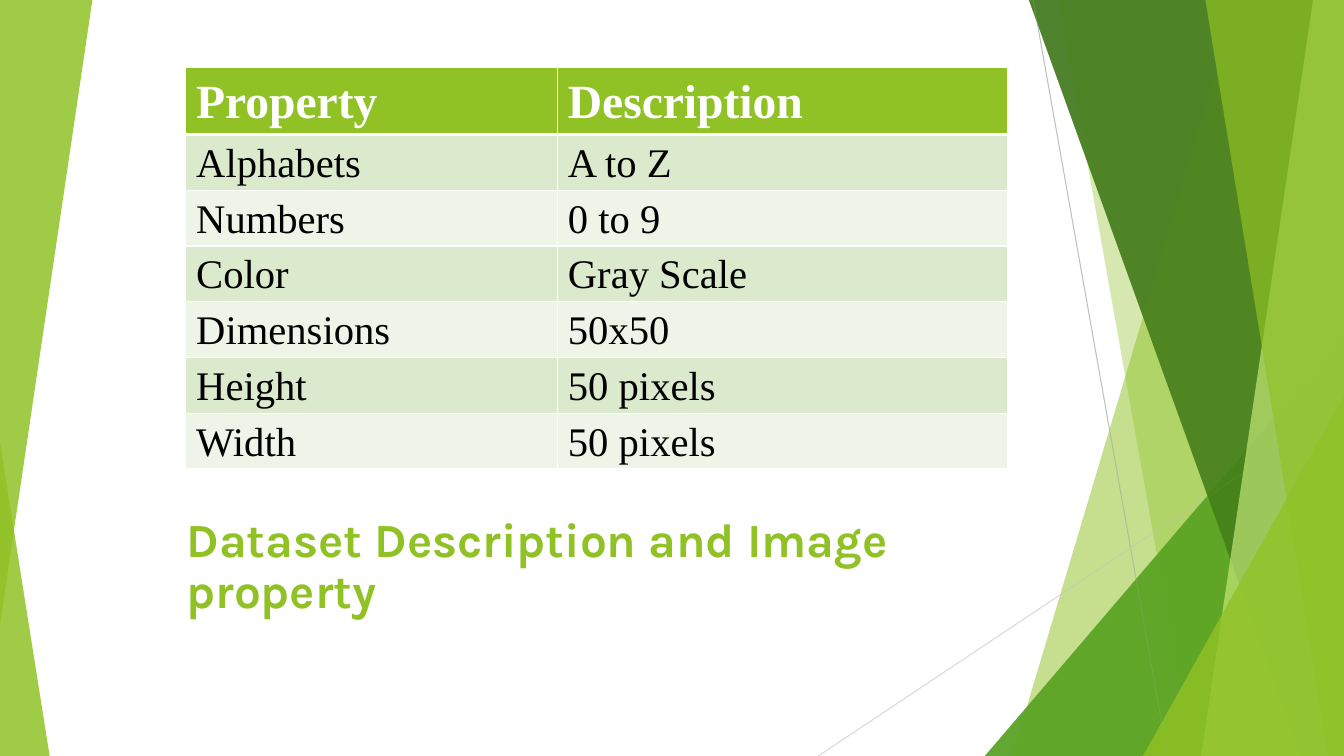
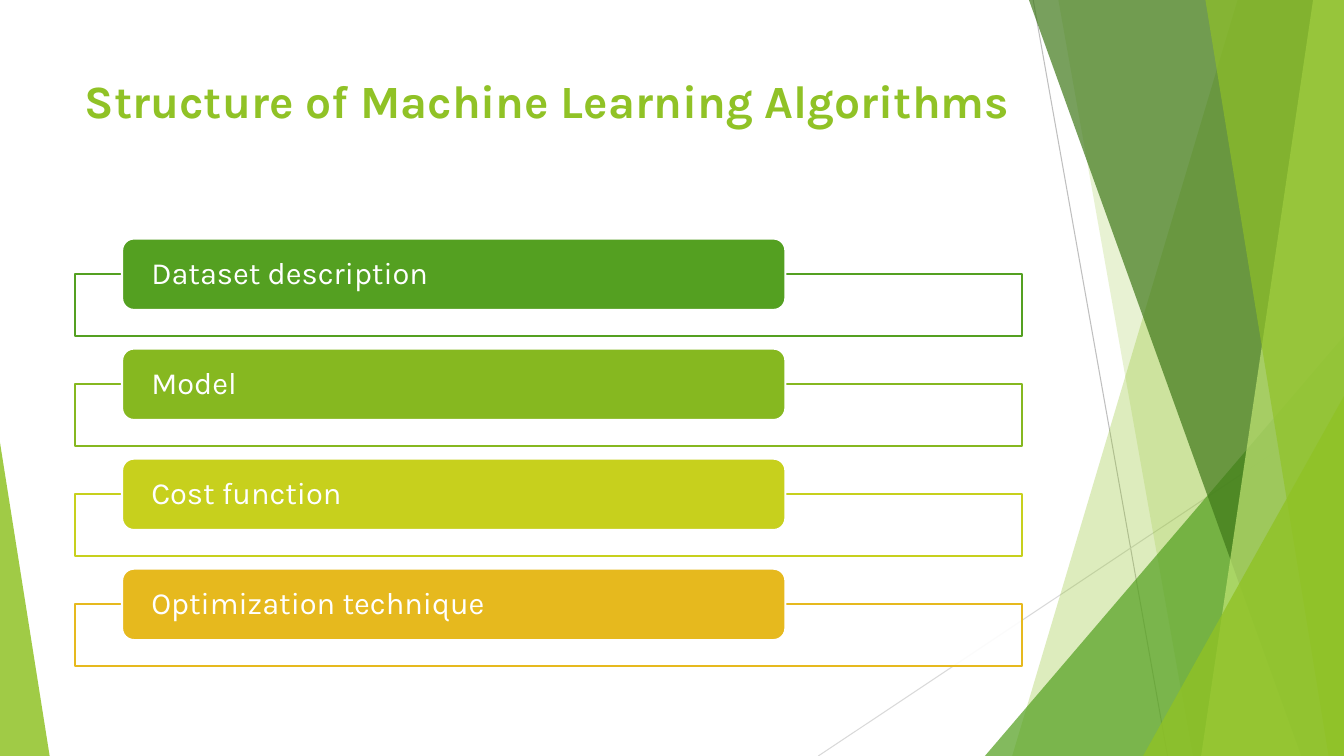
import lxml.etree
import pptx
import pptx.dml.color
import pptx.enum.shapes
import pptx.enum.text
import pptx.oxml.ns
import pptx.util

Pt = pptx.util.Pt
RGB = pptx.dml.color.RGBColor
SHAPE = pptx.enum.shapes.MSO_SHAPE
ALIGN = pptx.enum.text.PP_ALIGN
ANCHOR = pptx.enum.text.MSO_ANCHOR
qn = pptx.oxml.ns.qn

# Colours, fonts and slide size
LIME = RGB(0x90, 0xC2, 0x26)
GREEN = RGB(0x54, 0xA0, 0x21)
FOREST = RGB(0x3F, 0x78, 0x19)
PALE_LIME = RGB(0xC0, 0xE4, 0x74)
MOSS = RGB(0x86, 0xB8, 0x20)
CITRON = RGB(0xC7, 0xD0, 0x1D)
GOLD = RGB(0xE6, 0xB9, 0x1E)
ROW_DARK = RGB(0xDB, 0xE9, 0xCD)
ROW_LIGHT = RGB(0xEE, 0xF4, 0xE8)
GRAY = RGB(0xBF, 0xBF, 0xBF)
LIGHT_GRAY = RGB(0xD9, 0xD9, 0xD9)
WHITE = RGB(0xFF, 0xFF, 0xFF)
BLACK = RGB(0, 0, 0)
HEADING_FONT, TABLE_FONT = "Karla", "Times New Roman"
WIDTH, HEIGHT = 960, 540

# Content
DATASET_TITLE = "Dataset Description and Image property"
PROPERTIES = [
    ("Property", "Description"),
    ("Alphabets", "A to Z"),
    ("Numbers", "0 to 9"),
    ("Color", "Gray Scale"),
    ("Dimensions", "50x50"),
    ("Height", "50 pixels"),
    ("Width", "50 pixels"),
]
STRUCTURE_TITLE = "Structure of Machine Learning Algorithms"
STEPS = [
    ("Dataset description", GREEN),
    ("Model", MOSS),
    ("Cost function", CITRON),
    ("Optimization technique", GOLD),
]

# Facets: bands run from a top x and a bottom x to the right edge;
# triangles give left, top, width, height, apex position and rotation
RIGHT_FACETS = [
    ("band", (884, 723), LIME, 30),
    ("band", (756, 852), LIME, 20),
    ("triangle", (703.5, 240, 256.5, 300, 1, 0), GREEN, 72),
    ("band", (735, 929.5), FOREST, 70),
    ("band", (938, 858), PALE_LIME, 70),
    ("band", (861, 949), LIME, 65),
    ("triangle", (816.5, 283, 143.5, 257, 1, 0), LIME, 80),
]
LOWER_LEFT_FACET = ("triangle", (0, 316, 35.5, 224, 0, 0), LIME, 85)
UPPER_LEFT_FACET = ("triangle", (0, 0, 66, 446, 1, 180), LIME, 85)
FACET_LINES = [((738, 0, 834, 540), GRAY), ((960, 290, 584.5, 540), LIGHT_GRAY)]


def set_attributes(target, values):
    for name, value in values.items():
        setattr(target, name, value)


def paint(shape, color, opacity=100, line_color=None):
    shape.shadow.inherit = False
    shape.fill.solid()
    shape.fill.fore_color.rgb = color
    if opacity < 100:
        color_element = shape._element.spPr.find(".//" + qn("a:srgbClr"))
        lxml.etree.SubElement(color_element, qn("a:alpha"), val=str(opacity * 1000))
    if line_color is None:
        shape.line.fill.background()
    else:
        shape.line.color.rgb = line_color
        shape.line.width = Pt(1.5)


def write(frame, text, font_name, size, color, bold=False, **paragraph_format):
    frame.text = text
    paragraph = frame.paragraphs[0]
    set_attributes(paragraph, paragraph_format)
    font = paragraph.runs[0].font
    set_attributes(font, {"name": font_name, "size": Pt(size), "bold": bold})
    font.color.rgb = color


def add_facet(slide, facet):
    kind, geometry, color, opacity = facet
    if kind == "band":
        top_x, bottom_x = geometry
        builder = slide.shapes.build_freeform(Pt(top_x), 0)
        corners = [(WIDTH, 0), (WIDTH, HEIGHT), (bottom_x, HEIGHT)]
        builder.add_line_segments([(Pt(x), Pt(y)) for x, y in corners], close=True)
        shape = builder.convert_to_shape()
    else:
        *box, apex, rotation = geometry
        shape = slide.shapes.add_shape(SHAPE.ISOSCELES_TRIANGLE, *map(Pt, box))
        shape.adjustments[0] = apex
        shape.rotation = rotation
    paint(shape, color, opacity)


def add_facet_lines(slide):
    for ends, color in FACET_LINES:
        line = slide.shapes.add_connector(
            pptx.enum.shapes.MSO_CONNECTOR.STRAIGHT, *map(Pt, ends))
        line.line.color.rgb = color
        line.line.width = Pt(0.75)
        lxml.etree.SubElement(line._element.spPr, qn("a:effectLst"))


def add_title(slide, text, box, size, anchor, line_spacing):
    title = slide.shapes.title
    set_attributes(title, dict(zip(("left", "top", "width", "height"), map(Pt, box))))
    set_attributes(title.text_frame, {
        "word_wrap": True,
        "auto_size": pptx.enum.text.MSO_AUTO_SIZE.NONE,
        "vertical_anchor": anchor,
    })
    write(title.text_frame, text, HEADING_FONT, size, LIME, True,
          alignment=ALIGN.LEFT, line_spacing=line_spacing)


def add_cell_borders(cell, is_header):
    properties = cell._tc.get_or_add_tcPr()
    for side in "LRTB":
        width = 3 if is_header and side == "B" else 1
        border = lxml.etree.SubElement(properties, qn("a:ln" + side), w=str(Pt(width)))
        fill = lxml.etree.SubElement(border, qn("a:solidFill"))
        lxml.etree.SubElement(fill, qn("a:srgbClr"), val=str(WHITE))


def add_property_table(slide):
    row_heights = [47.6] + [39.8] * (len(PROPERTIES) - 1)
    column_widths = [265.5, 321.5]
    table = slide.shapes.add_table(
        len(row_heights), len(column_widths), Pt(132.5), Pt(48.5),
        Pt(sum(column_widths)), Pt(sum(row_heights))).table
    for column, width in zip(table.columns, column_widths):
        column.width = Pt(width)
    for index, (row, texts) in enumerate(zip(table.rows, PROPERTIES)):
        row.height = Pt(row_heights[index])
        is_header = index == 0
        row_fill = LIME if is_header else ROW_DARK if index % 2 else ROW_LIGHT
        for cell, text in zip(row.cells, texts):
            add_cell_borders(cell, is_header)
            cell.fill.solid()
            cell.fill.fore_color.rgb = row_fill
            set_attributes(cell, {"margin_left": Pt(7.7), "margin_right": Pt(7.7),
                                  "margin_top": 0, "margin_bottom": 0})
            write(cell.text_frame, text, TABLE_FONT, 34 if is_header else 29,
                  WHITE if is_header else BLACK, is_header,
                  alignment=ALIGN.JUSTIFY, line_spacing=1.15)


def add_steps(slide):
    pitch = 78.6
    for index, (text, color) in enumerate(STEPS):
        offset = index * pitch
        outline = slide.shapes.add_shape(
            SHAPE.RECTANGLE, Pt(53.4), Pt(195.8 + offset), Pt(676.8), Pt(44))
        paint(outline, WHITE, 90, color)
        bar = slide.shapes.add_shape(
            SHAPE.ROUNDED_RECTANGLE, Pt(87.2), Pt(170.4 + offset), Pt(473.8), Pt(51))
        paint(bar, color, line_color=WHITE)
        set_attributes(bar.text_frame, {
            "margin_left": Pt(18.4), "margin_right": Pt(18.4),
            "margin_top": 0, "margin_bottom": 0,
            "word_wrap": True, "vertical_anchor": ANCHOR.MIDDLE,
        })
        write(bar.text_frame, text, HEADING_FONT, 22, WHITE,
              alignment=ALIGN.LEFT, line_spacing=0.9)


def add_dataset_slide(presentation):
    slide = presentation.slides.add_slide(presentation.slide_layouts[5])
    for facet in RIGHT_FACETS + [LOWER_LEFT_FACET]:
        add_facet(slide, facet)
    add_facet_lines(slide)
    for facet in RIGHT_FACETS + [UPPER_LEFT_FACET]:
        add_facet(slide, facet)
    add_title(slide, DATASET_TITLE, (126, 360, 604, 85.7), 34, ANCHOR.BOTTOM, 0.9)
    add_property_table(slide)


def add_structure_slide(presentation):
    slide = presentation.slides.add_slide(presentation.slide_layouts[5])
    add_facet_lines(slide)
    for facet in RIGHT_FACETS + [LOWER_LEFT_FACET]:
        add_facet(slide, facet)
    add_title(slide, STRUCTURE_TITLE, (53.4, 48, 676.8, 104), 33, ANCHOR.TOP, 1.0)
    add_steps(slide)


def main():
    presentation = pptx.Presentation()
    presentation.slide_width = Pt(WIDTH)
    presentation.slide_height = Pt(HEIGHT)
    add_dataset_slide(presentation)
    add_structure_slide(presentation)
    presentation.save("out.pptx")


if __name__ == "__main__":
    main()
